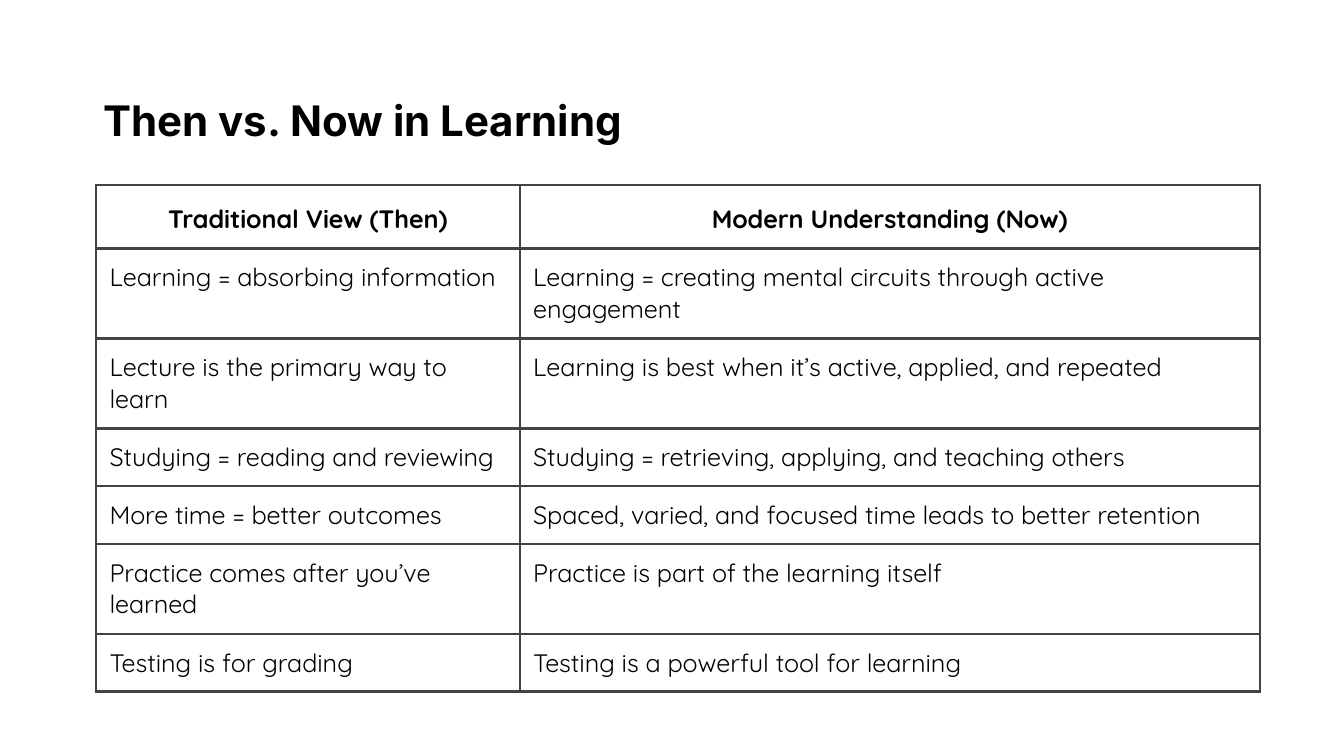
from dataclasses import dataclass
from typing import NamedTuple

from lxml.etree import SubElement
from pptx import Presentation
from pptx.dml.color import RGBColor
from pptx.enum.text import MSO_ANCHOR, PP_ALIGN
from pptx.oxml.ns import qn
from pptx.slide import Slide
from pptx.table import _Cell
from pptx.util import Inches, Pt

SLIDE_W = Inches(10)
SLIDE_H = SLIDE_W * 9 // 16


@dataclass(frozen=True)
class Theme:
    ink: str = "000000"
    border: str = "434343"
    border_pt: float = 1.5
    title_font: str = "Inter"
    title_pt: float = 22.5
    table_font: str = "Quicksand"
    table_pt: float = 13.5


class Box(NamedTuple):
    """An area given in percent of the slide's size."""
    left: float
    top: float
    width: float
    height: float

    def emu(self) -> tuple[int, ...]:
        sizes = (SLIDE_W, SLIDE_H, SLIDE_W, SLIDE_H)
        return tuple(round(size * share / 100) for share, size in zip(self, sizes))


class Row(NamedTuple):
    then: str
    now: str
    height: float


THEME = Theme()
TITLE_BOX = Box(6.7, 11.8, 42, 6.8)
TABLE_BOX = Box(7.15, 24.5, 86.6, 67)
COLUMN_PERCENTS = (36.4, 63.6)
CELL_MARGIN = Inches(0.1)
HEADER, ONE_LINE, TWO_LINES = 0.47, 0.43, 0.67

ROWS = (
    Row("Traditional View (Then)", "Modern Understanding (Now)", HEADER),
    Row("Learning = absorbing information",
        "Learning = creating mental circuits through active engagement", TWO_LINES),
    Row("Lecture is the primary way to learn",
        "Learning is best when it’s active, applied, and repeated", TWO_LINES),
    Row("Studying = reading and reviewing",
        "Studying = retrieving, applying, and teaching others", ONE_LINE),
    Row("More time = better outcomes",
        "Spaced, varied, and focused time leads to better retention", ONE_LINE),
    Row("Practice comes after you’ve learned",
        "Practice is part of the learning itself", TWO_LINES),
    Row("Testing is for grading", "Testing is a powerful tool for learning", ONE_LINE),
)


def set_font(p, name: str, size: float, bold: bool) -> None:
    p.font.name = name
    p.font.size = Pt(size)
    p.font.bold = bold
    p.font.color.rgb = RGBColor.from_string(THEME.ink)


def set_borders(cell: _Cell) -> None:
    tc_pr = cell._tc.get_or_add_tcPr()
    for side in ("lnL", "lnR", "lnT", "lnB"):
        ln = SubElement(tc_pr, qn(f"a:{side}"), w=str(Pt(THEME.border_pt)))
        fill = SubElement(ln, qn("a:solidFill"))
        SubElement(fill, qn("a:srgbClr"), val=THEME.border)


def fill_cell(cell: _Cell, text: str, header: bool) -> None:
    cell.margin_left = cell.margin_right = CELL_MARGIN
    cell.margin_top = cell.margin_bottom = CELL_MARGIN
    set_borders(cell)
    cell.fill.background()
    cell.text = text
    p = cell.text_frame.paragraphs[0]
    if header:
        p.alignment = PP_ALIGN.CENTER
        p.line_spacing = 1.15
    set_font(p, THEME.table_font, THEME.table_pt, header)


def add_title(s: Slide, text: str) -> None:
    tf = s.shapes.add_textbox(*TITLE_BOX.emu()).text_frame
    tf.word_wrap = True
    tf.vertical_anchor = MSO_ANCHOR.MIDDLE
    p = tf.paragraphs[0]
    p.text = text
    p.line_spacing = 1.2
    set_font(p, THEME.title_font, THEME.title_pt, True)


def add_comparison(s: Slide, rows: tuple[Row, ...]) -> None:
    left, top, width, height = TABLE_BOX.emu()
    table = s.shapes.add_table(len(rows), 2, left, top, width, height).table
    table.first_row = table.horz_banding = False
    for column, percent in zip(table.columns, COLUMN_PERCENTS):
        column.width = round(width * percent / 100)
    for i, row in enumerate(rows):
        table.rows[i].height = Inches(row.height)
        for j, text in enumerate((row.then, row.now)):
            fill_cell(table.cell(i, j), text, header=i == 0)


def main() -> None:
    prs = Presentation()
    prs.slide_width, prs.slide_height = SLIDE_W, SLIDE_H
    s = prs.slides.add_slide(prs.slide_layouts[6])
    add_title(s, "Then vs. Now in Learning")
    add_comparison(s, ROWS)
    prs.save("out.pptx")


if __name__ == "__main__":
    main()
